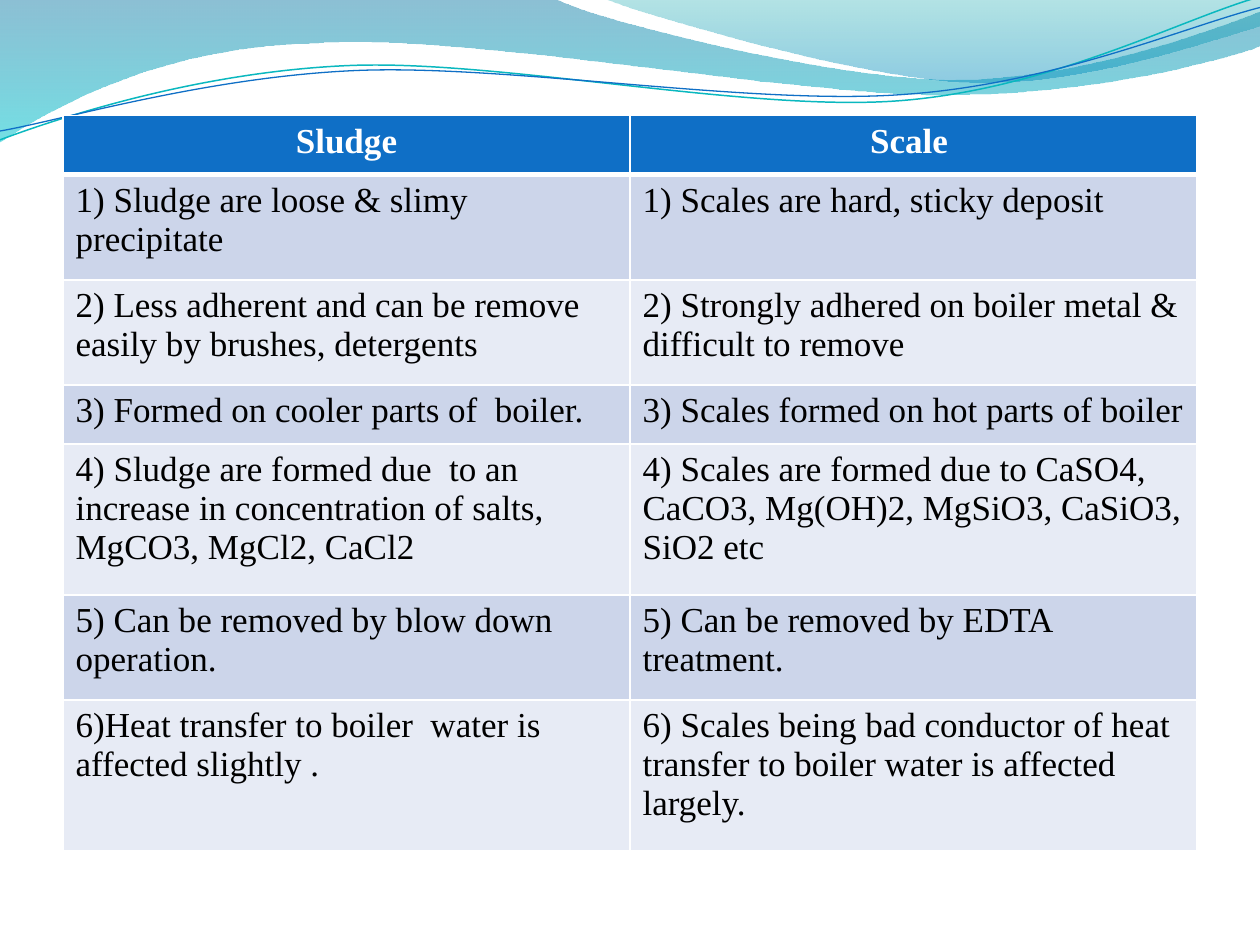
from dataclasses import dataclass
from math import cos, radians, sin
from lxml.etree import SubElement
from pptx import Presentation
from pptx.dml.color import RGBColor
from pptx.enum.text import PP_ALIGN
from pptx.oxml.ns import qn
from pptx.shapes.autoshape import Shape
from pptx.slide import Slide
from pptx.table import Table, _Cell
from pptx.util import Cm, Length, Pt

WHITE = RGBColor(0xFF, 0xFF, 0xFF)
BLACK = RGBColor(0x00, 0x00, 0x00)
BLUE = RGBColor(0x0F, 0x6F, 0xC6)
TURQUOISE = RGBColor(0x0A, 0xB8, 0xBF)
STEEL = RGBColor(0x00, 0x74, 0xA1)
CYAN = RGBColor(0x00, 0xC6, 0xCF)
TEAL = RGBColor(0x00, 0xA1, 0xA9)
AZURE = RGBColor(0x00, 0x8B, 0xBF)
BAND_DARK = RGBColor(0xCC, 0xD5, 0xEA)
BAND_LIGHT = RGBColor(0xE7, 0xEB, 0xF5)

FONT = "Times New Roman"
CM_PER_INCH = 2.54
STRAND_TILT = -2.7

Point = tuple[float, float]
Segment = list[Point]


@dataclass
class GradientStop:
    color: RGBColor
    opacity: int


@dataclass
class Wave:
    start: Point
    segments: list[Segment]
    stops: tuple[GradientStop, GradientStop]


@dataclass
class Strand:
    start: Point
    segments: list[Segment]
    center: Point
    color: RGBColor
    width: float


WAVES = [
    Wave((0, 0),
         [[(4.4, -0.01)],
          [(4.76, 0.17), (6.64, 0.63), (7.58, 0.63)],
          [(8.53, 0.63), (9.58, 0.26), (10, 0.09)],
          [(10.01, 0.36)],
          [(9.83, 0.44), (8.7, 0.76), (7.46, 0.75)],
          [(6.22, 0.75), (3.82, 0.28), (2.57, 0.34)],
          [(1.29, 0.36), (0.46, 0.83), (-0.01, 1.13)],
          [(0, 0)]],
         (GradientStop(STEEL, 45), GradientStop(CYAN, 55))),
    Wave((4.79, -0.01),
         [[(5.09, 0.11), (6.82, 0.62), (7.69, 0.65)],
          [(8.56, 0.69), (9.61, 0.32), (10, 0.21)],
          [(10, 0)],
          [(4.79, -0.01)]],
         (GradientStop(TEAL, 30), GradientStop(AZURE, 45))),
]

STRANDS = [
    Strand((0, 1.11),
           [[(0.48, 0.93), (1.58, 0.57), (2.77, 0.52)],
            [(3.95, 0.47), (5.93, 0.89), (7.13, 0.8)],
            [(8.33, 0.71), (9.38, 0.15), (9.98, -0.02)]],
           (4.99, 0.58), TURQUOISE, 0.85),
    Strand((0, 1.04),
           [[(0.47, 0.96), (1.64, 0.61), (2.83, 0.56)],
            [(4.03, 0.51), (5.97, 0.84), (7.17, 0.75)],
            [(8.36, 0.67), (9.41, 0.21), (10, 0.06)]],
           (5, 0.59), BLUE, 0.75),
]

ROW_HEIGHTS = [Cm(height) for height in (1.19, 2.12, 2.12, 1.19, 3.04, 2.12, 3.04)]
ROWS = [
    ("Sludge", "Scale "),
    ("1) Sludge are loose & slimy precipitate",
     "1) Scales are hard, sticky deposit"),
    ("2) Less adherent and can be remove easily by brushes, detergents",
     "2) Strongly adhered on boiler metal & difficult to remove"),
    ("3) Formed on cooler parts of  boiler.",
     "3) Scales formed on hot parts of boiler"),
    ("4) Sludge are formed due  to an increase in concentration of salts, MgCO3, MgCl2, CaCl2",
     "4) Scales are formed due to CaSO4, CaCO3, Mg(OH)2, MgSiO3, CaSiO3, SiO2 etc"),
    ("5) Can be removed by blow down operation.",
     "5) Can be removed by EDTA treatment."),
    ("6)Heat transfer to boiler  water is affected slightly .",
     "6) Scales being bad conductor of heat transfer to boiler water is affected largely."),
]


def to_length(point: Point) -> tuple[Length, Length]:
    x, y = point
    return Cm(x * CM_PER_INCH), Cm(y * CM_PER_INCH)


def turn(point: Point, center: Point, degrees: float) -> Point:
    angle = radians(degrees)
    dx, dy = point[0] - center[0], point[1] - center[1]
    return (center[0] + dx * cos(angle) - dy * sin(angle),
            center[1] + dx * sin(angle) + dy * cos(angle))


def draw_outline(page: Slide, start: Point, segments: list[Segment], close: bool) -> Shape:
    builder = page.shapes.build_freeform(*to_length(start))
    points = [to_length(point) for segment in segments for point in segment]
    builder.add_line_segments(points, close=close)
    shape = builder.convert_to_shape()
    shape.shadow.inherit = False
    outline = shape.element.spPr.find(".//" + qn("a:path"))
    lines = iter(outline.findall(qn("a:lnTo")))
    for segment in segments:
        steps = [next(lines) for _ in segment]
        if len(steps) == 3:
            curve = SubElement(outline, qn("a:cubicBezTo"))
            steps[0].addprevious(curve)
            for step in steps:
                curve.append(step[0])
                outline.remove(step)
    return shape


def draw_wave(page: Slide, wave: Wave) -> None:
    shape = draw_outline(page, wave.start, wave.segments, close=True)
    shape.line.fill.background()
    shape.fill.gradient()
    shape.fill.gradient_angle = 270
    for stop, wanted in zip(shape.fill.gradient_stops, wave.stops):
        stop.color.rgb = wanted.color
    colors = shape.element.spPr.findall(".//" + qn("a:gs") + "/" + qn("a:srgbClr"))
    for color, wanted in zip(colors, wave.stops):
        SubElement(color, qn("a:alpha"), val=str(wanted.opacity * 1000))


def draw_strand(page: Slide, strand: Strand) -> None:
    start = turn(strand.start, strand.center, -STRAND_TILT)
    segments = [[turn(point, strand.center, -STRAND_TILT) for point in segment]
                for segment in strand.segments]
    shape = draw_outline(page, start, segments, close=False)
    shape.rotation = STRAND_TILT
    shape.fill.background()
    shape.line.color.rgb = strand.color
    shape.line.width = Pt(strand.width)


def set_borders(cell: _Cell, top: float, bottom: float) -> None:
    properties = cell._tc.get_or_add_tcPr()
    for position, (side, width) in enumerate(
        [("L", 1), ("R", 1), ("T", top), ("B", bottom)]
    ):
        border = SubElement(properties, qn(f"a:ln{side}"), w=str(Pt(width)))
        fill = SubElement(border, qn("a:solidFill"))
        SubElement(fill, qn("a:srgbClr"), val=str(WHITE))
        properties.insert(position, border)


def fill_cell(table: Table, row: int, column: int, text: str) -> None:
    cell = table.cell(row, column)
    header = row == 0
    cell.fill.solid()
    cell.fill.fore_color.rgb = BLUE if header else BAND_DARK if row % 2 else BAND_LIGHT
    set_borders(cell, top=3 if row == 1 else 1, bottom=3 if header else 1)
    cell.text_frame.text = text
    para = cell.text_frame.paragraphs[0]
    para.alignment = PP_ALIGN.CENTER if header else PP_ALIGN.LEFT
    span = para.runs[0]
    span.font.name = FONT
    span.font.size = Pt(20)
    span.font.bold = header
    span.font.color.rgb = WHITE if header else BLACK


def draw_comparison(page: Slide) -> None:
    frame = page.shapes.add_table(
        len(ROWS), 2, Cm(1.27), Cm(2.33), Cm(22.86), sum(ROW_HEIGHTS)
    )
    for row, (height, texts) in enumerate(zip(ROW_HEIGHTS, ROWS)):
        frame.table.rows[row].height = height
        for column, text in enumerate(texts):
            fill_cell(frame.table, row, column, text)


def main() -> None:
    deck = Presentation()
    deck.slide_width = Cm(25.4)
    deck.slide_height = Cm(19.05)
    page = deck.slides.add_slide(deck.slide_layouts[6])
    for wave in WAVES:
        draw_wave(page, wave)
    for strand in STRANDS:
        draw_strand(page, strand)
    draw_comparison(page)
    deck.save("out.pptx")


if __name__ == "__main__":
    main()
